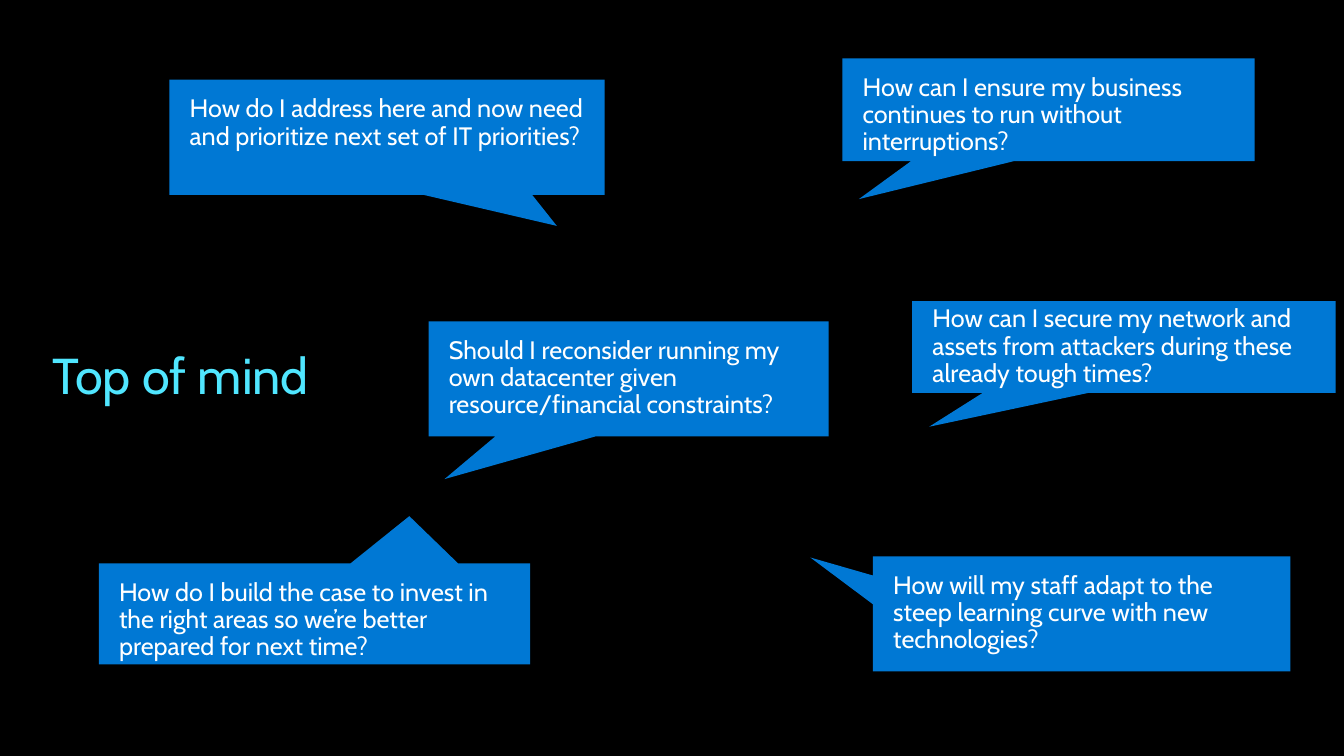
"""Build the "Top of mind" slide with its customer questions in callouts."""
from dataclasses import dataclass
from typing import Any

import pptx
import pptx.dml.color
import pptx.enum.shapes
import pptx.enum.text
import pptx.slide
import pptx.text.text
import pptx.util

Cm = pptx.util.Cm
Pt = pptx.util.Pt
RGBColor = pptx.dml.color.RGBColor
Anchor = pptx.enum.text.MSO_ANCHOR

BLACK = RGBColor(0x00, 0x00, 0x00)
BLUE = RGBColor(0x00, 0x78, 0xD4)
CYAN = RGBColor(0x50, 0xE6, 0xFF)
WHITE = RGBColor(0xFF, 0xFF, 0xFF)

FRAME_FORMAT = {"word_wrap": True, "auto_size": pptx.enum.text.MSO_AUTO_SIZE.NONE}
TITLE_FRAME = FRAME_FORMAT | {
    "margin_left": 0,
    "margin_right": Cm(0.25),
    "margin_top": Cm(0.13),
    "margin_bottom": Cm(0.13),
    "vertical_anchor": Anchor.MIDDLE,
}
QUESTION_FRAME = FRAME_FORMAT | {
    "margin_left": Cm(0.51),
    "margin_right": Cm(0.51),
    "margin_top": Cm(0.41),
    "margin_bottom": Cm(0.41),
}
TITLE_PARAGRAPH = {
    "alignment": pptx.enum.text.PP_ALIGN.LEFT,
    "line_spacing": 0.9,
    "space_before": Pt(0),
}
QUESTION_PARAGRAPH = TITLE_PARAGRAPH | {"space_after": Pt(6)}
TITLE_FONT = {"name": "Cabin", "size": Pt(36)}
QUESTION_FONT = {"name": "Cabin", "size": Pt(18)}


@dataclass(frozen=True)
class Question:
    wording: str
    left: float
    top: float
    width: float
    height: float
    pointer: tuple[float, float]
    anchor: Anchor = Anchor.TOP


QUESTIONS = [
    Question("How can I ensure my business continues to run without interruptions?",
             21.23, 1.47, 10.39, 2.59, (-0.46, 0.87)),
    Question("Should I reconsider running my own datacenter given resource/financial constraints?",
             10.8, 8.1, 10.08, 2.9, (-0.46, 0.87)),
    Question("How do I address here and now need and prioritize next set of IT priorities?",
             4.27, 2.01, 10.97, 2.9, (0.39, 0.77)),
    Question("How will my staff adapt to the steep learning curve with new technologies?",
             22, 14.02, 10.52, 2.9, (-0.65, -0.49)),
    Question("How do I build the case to invest in the right areas so we’re better prepared for next time?",
             2.49, 14.2, 10.87, 2.54, (0.22, -0.97)),
    Question("How can I secure my network and assets from attackers during these already tough times?",
             22.99, 7.59, 10.67, 2.31, (-0.46, 0.87), Anchor.MIDDLE),
]


def apply_format(target: Any, values: dict[str, Any]) -> None:
    for attribute, value in values.items():
        setattr(target, attribute, value)


def write(frame: pptx.text.text.TextFrame, wording: str, frame_format: dict[str, Any],
          paragraph_format: dict[str, Any], font_format: dict[str, Any], color: RGBColor) -> None:
    frame.text = wording
    line = frame.paragraphs[0]
    font = line.runs[0].font
    apply_format(frame, frame_format)
    apply_format(line, paragraph_format)
    apply_format(font, font_format)
    font.color.rgb = color


def place_title(slide: pptx.slide.Slide) -> None:
    heading = slide.shapes.title
    apply_format(heading, {"left": Cm(1.32), "top": Cm(8.76), "width": Cm(15.37), "height": Cm(1.55)})
    write(heading.text_frame, "Top of mind", TITLE_FRAME, TITLE_PARAGRAPH, TITLE_FONT, CYAN)


def draw_question(slide: pptx.slide.Slide, question: Question) -> None:
    callout = slide.shapes.add_shape(
        pptx.enum.shapes.MSO_SHAPE.RECTANGULAR_CALLOUT,
        Cm(question.left), Cm(question.top), Cm(question.width), Cm(question.height))
    for index, offset in enumerate(question.pointer):
        callout.adjustments[index] = offset
    callout.shadow.inherit = False
    callout.fill.solid()
    callout.fill.fore_color.rgb = BLUE
    callout.line.fill.background()
    write(callout.text_frame, question.wording, QUESTION_FRAME | {"vertical_anchor": question.anchor},
          QUESTION_PARAGRAPH, QUESTION_FONT, WHITE)


def main() -> None:
    deck = pptx.Presentation()
    apply_format(deck, {"slide_width": Cm(33.87), "slide_height": Cm(19.05)})
    slide = deck.slides.add_slide(deck.slide_layouts.get_by_name("Title Only"))
    slide.background.fill.solid()
    slide.background.fill.fore_color.rgb = BLACK
    place_title(slide)
    for question in QUESTIONS:
        draw_question(slide, question)
    deck.save("out.pptx")


if __name__ == "__main__":
    main()
